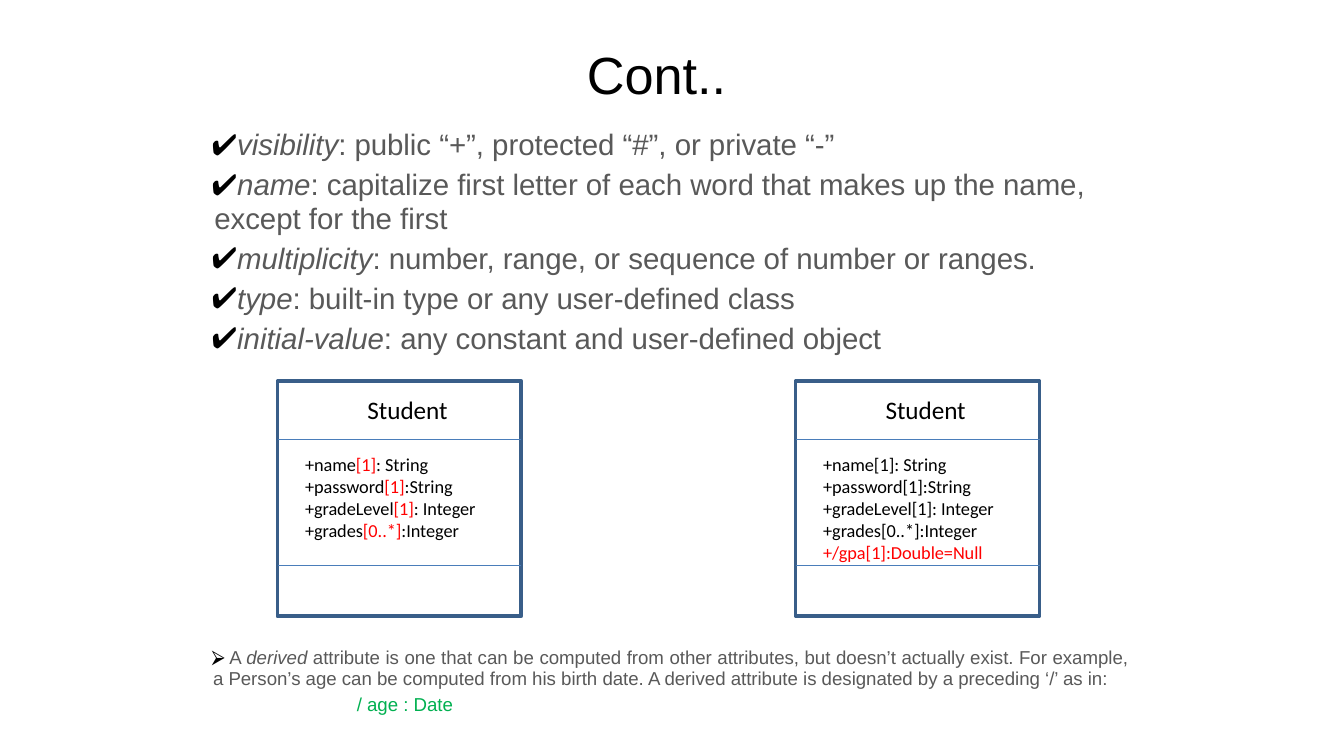
from dataclasses import dataclass

from lxml.etree import SubElement
from pptx import Presentation
from pptx.dml.color import RGBColor
from pptx.enum.shapes import MSO_CONNECTOR as Connector, MSO_SHAPE as Shape
from pptx.enum.text import MSO_ANCHOR as Anchor, PP_ALIGN as Align
from pptx.oxml.ns import qn
from pptx.util import Emu, Pt

EMU_PER_PX = 4572  # 200 px to the inch
BLACK = RGBColor(0x00, 0x00, 0x00)
WHITE = RGBColor(0xFF, 0xFF, 0xFF)
GRAY = RGBColor(0x59, 0x59, 0x59)
RED = RGBColor(0xFF, 0x00, 0x00)
GREEN = RGBColor(0x00, 0xB0, 0x50)
BORDER = RGBColor(0x39, 0x5E, 0x89)
DIVIDER = RGBColor(0x4A, 0x7D, 0xBA)

CLASS_TOP, CLASS_WIDTH, CLASS_HEIGHT = 567, 363, 350
DIVIDER_TOPS = (654, 842)


@dataclass(frozen=True)
class Span:
    text: str
    color: RGBColor | None = None
    italic: bool = False


@dataclass(frozen=True)
class ClassBox:
    left: int
    attributes_height: int
    attributes: list[list[Span]]


def px(length: int) -> Emu:
    return Emu(length * EMU_PER_PX)


def add_bullet(para, char: str) -> None:
    props = para._p.get_or_add_pPr()
    color = SubElement(props, qn("a:buClr"))
    SubElement(color, qn("a:srgbClr"), val=str(BLACK))
    SubElement(props, qn("a:buFont"), typeface="Arial")
    SubElement(props, qn("a:buChar"), char=char)


def write_para(frame, spans: list[Span], *, size: float, first: bool = True,
               font: str = "Arial", color: RGBColor = BLACK,
               align: Align = Align.LEFT, spacing: float = 1.0, before: float = 0,
               margin: int = 0, indent: int = 0, bullet: str = "") -> None:
    """Fill the frame's first paragraph, or add another one."""
    para = frame.paragraphs[0] if first else frame.add_paragraph()
    para.alignment = align
    para.line_spacing = spacing
    para.space_before = Pt(0 if first else before)
    props = para._p.get_or_add_pPr()
    props.set("marL", str(px(margin)))
    props.set("indent", str(px(indent)))
    if bullet:
        add_bullet(para, bullet)
    for span in spans:
        run = para.add_run()
        run.text = span.text
        run.font.name = font
        run.font.size = Pt(size)
        run.font.italic = span.italic
        run.font.color.rgb = span.color or color


def format_frame(frame, anchor: Anchor = Anchor.TOP):
    frame.word_wrap = True
    frame.vertical_anchor = anchor
    frame.margin_left = frame.margin_right = px(15)
    frame.margin_top = frame.margin_bottom = px(8)
    return frame


def add_text_box(slide, left: int, top: int, width: int, height: int):
    box = slide.shapes.add_textbox(px(left), px(top), px(width), px(height))
    return format_frame(box.text_frame)


def add_divider(slide, left: int, top: int) -> None:
    line = slide.shapes.add_connector(
        Connector.STRAIGHT, px(left), px(top), px(left + CLASS_WIDTH), px(top))
    line.line.color.rgb = DIVIDER
    line.line.width = Pt(0.75)
    SubElement(line._element.spPr, qn("a:effectLst"))


def add_class_box(slide, box: ClassBox) -> None:
    outline = slide.shapes.add_shape(
        Shape.RECTANGLE, px(box.left), px(CLASS_TOP), px(CLASS_WIDTH), px(CLASS_HEIGHT))
    outline.shadow.inherit = False
    outline.fill.solid()
    outline.fill.fore_color.rgb = WHITE
    outline.line.color.rgb = BORDER
    outline.line.width = Pt(2)
    for top in DIVIDER_TOPS:
        add_divider(slide, box.left, top)

    name = add_text_box(slide, box.left + 12, CLASS_TOP + 12, CLASS_WIDTH, 60)
    write_para(name, [Span("Student")], size=13.5, font="Calibri", align=Align.CENTER)
    rows = add_text_box(slide, box.left + 26, CLASS_TOP + 100, 312, box.attributes_height)
    for index, spans in enumerate(box.attributes):
        write_para(rows, spans, size=9.75, font="Calibri", first=index == 0)


ATTRIBUTE_PARTS = [
    ("visibility", ": public “+”, protected “#”, or private “-”"),
    ("name", ": capitalize first letter of each word that makes up the name, "
             "except for the first"),
    ("multiplicity", ": number, range, or sequence of number or ranges."),
    ("type", ": built-in type or any user-defined class"),
    ("initial-value", ": any constant and user-defined object"),
]
STUDENT_ATTRIBUTES = [
    ("+name", "[1]", ": String"),
    ("+password", "[1]", ":String"),
    ("+gradeLevel", "[1]", ": Integer"),
    ("+grades", "[0..*]", ":Integer"),
]
CLASS_BOXES = [
    ClassBox(413, 146, [[Span(name), Span(count, RED), Span(kind)]
                        for name, count, kind in STUDENT_ATTRIBUTES]),
    ClassBox(1184, 180, [[Span("".join(parts))] for parts in STUDENT_ATTRIBUTES]
             + [[Span("+/gpa[1]:Double=Null", RED)]]),
]
DERIVED_NOTE = [
    Span(" A "),
    Span("derived", italic=True),
    Span(" attribute is one that can be computed from other attributes, but doesn’t "
         "actually exist. For example, a Person’s age can be computed from his birth "
         "date. A derived attribute is designated by a preceding ‘/’ as in:"),
]


def main() -> None:
    deck = Presentation()
    deck.slide_width, deck.slide_height = px(2000), px(1125)
    slide = deck.slides.add_slide(deck.slide_layouts[5])

    title = slide.shapes.title
    title.left, title.top, title.width, title.height = map(px, (302, 16, 1350, 188))
    write_para(format_frame(title.text_frame, Anchor.MIDDLE), [Span("Cont..")],
               size=28, align=Align.CENTER)

    body = add_text_box(slide, 300, 184, 1393, 932)
    for index, (term, meaning) in enumerate(ATTRIBUTE_PARTS):
        write_para(body, [Span(term, italic=True), Span(meaning)], size=15.75,
                   first=index == 0, color=GRAY, spacing=0.95, before=3.5,
                   margin=4, indent=-24, bullet="✔")
    write_para(body, DERIVED_NOTE, size=10, first=False, color=GRAY,
               align=Align.JUSTIFY, spacing=0.95, before=156, margin=2, indent=-2,
               bullet="⮚")
    write_para(body, [Span("/ age : Date")], size=10, first=False, color=GREEN,
               align=Align.JUSTIFY, spacing=0.95, before=2.2, margin=216)

    for box in CLASS_BOXES:
        add_class_box(slide, box)

    deck.save("out.pptx")


if __name__ == "__main__":
    main()
